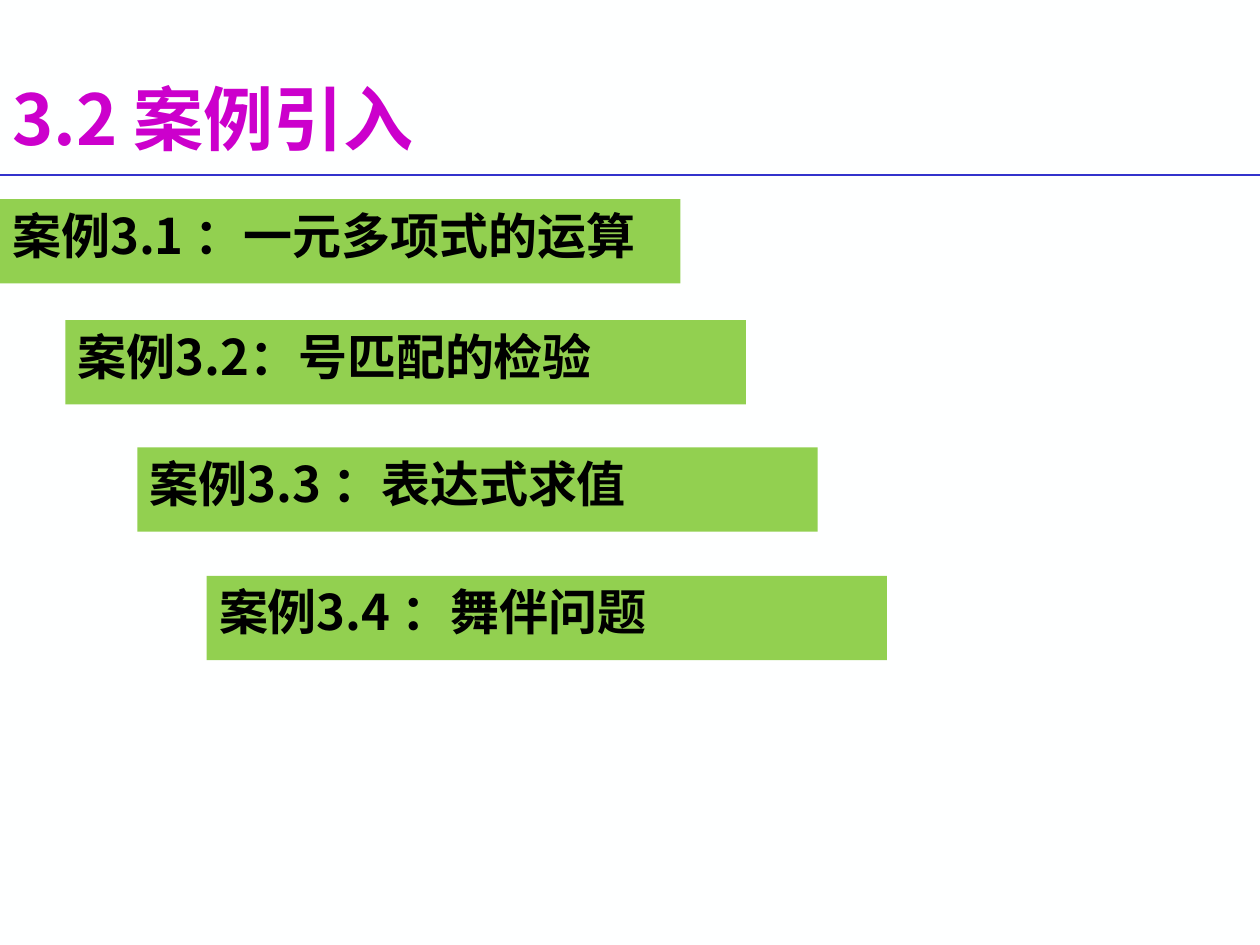
from dataclasses import dataclass

from lxml.etree import SubElement
from pptx import Presentation
from pptx.dml.color import RGBColor as Color
from pptx.enum.shapes import MSO_CONNECTOR as Connector, MSO_SHAPE as Shape
from pptx.enum.text import MSO_ANCHOR as Anchor, MSO_AUTO_SIZE as AutoSize, PP_ALIGN as Align
from pptx.oxml.ns import qn
from pptx.slide import Slide
from pptx.text.text import TextFrame
from pptx.util import Inches, Length, Pt

COLUMNS, ROWS = 100, 75  # slide grid


@dataclass(frozen=True)
class Theme:
    font: str = "Noto Sans CJK SC"
    background: Color = Color.from_string("FEFFFF")
    title: Color = Color.from_string("CC00CC")
    rule: Color = Color.from_string("3333CC")
    bar: Color = Color.from_string("92D050")
    text: Color = Color.from_string("000000")
    title_size: Length = Pt(40)
    case_size: Length = Pt(28)


@dataclass(frozen=True)
class Case:
    column: float
    row: float
    text: str


THEME = Theme()
BAR_COLUMNS, BAR_ROWS = 54, 6.7
CASES = [
    Case(0, 15.8, "案例3.1 ：一元多项式的运算"),
    Case(5.2, 25.4, "案例3.2：号匹配的检验"),
    Case(10.9, 35.5, "案例3.3 ：表达式求值"),
    Case(16.4, 45.7, "案例3.4 ：舞伴问题"),
]


def grid(units: float) -> Length:
    """Grid cells are square, so one rule serves columns and rows."""
    return Inches(10 * units / COLUMNS)


def write(frame: TextFrame, text: str, size: Length, color: Color, anchor: Anchor) -> None:
    frame.text = text
    frame.word_wrap = True
    frame.auto_size = AutoSize.NONE
    frame.vertical_anchor = anchor
    para = frame.paragraphs[0]
    para.alignment = Align.LEFT
    para.space_before = Pt(0)
    for span in para.runs:
        span.font.size, span.font.bold, span.font.name = size, True, THEME.font
        span.font.color.rgb = color
        SubElement(span.font._element, qn("a:ea"), typeface=THEME.font)


def add_title(page: Slide, text: str) -> None:
    title = page.shapes.title
    title.left, title.top = grid(0), grid(5.6)
    title.width, title.height = grid(74.1), grid(7.5)
    write(title.text_frame, text, THEME.title_size, THEME.title, Anchor.MIDDLE)


def add_rule(page: Slide, row: float) -> None:
    rule = page.shapes.add_connector(Connector.STRAIGHT, grid(0), grid(row), grid(COLUMNS), grid(row))
    rule.line.color.rgb = THEME.rule
    rule.line.width = Pt(1)
    SubElement(rule._element.spPr, qn("a:effectLst"))


def add_case(page: Slide, case: Case) -> None:
    bar = page.shapes.add_shape(
        Shape.RECTANGLE, grid(case.column), grid(case.row), grid(BAR_COLUMNS), grid(BAR_ROWS))
    bar.shadow.inherit = False
    bar.fill.solid()
    bar.fill.fore_color.rgb = THEME.bar
    bar.line.fill.background()
    write(bar.text_frame, case.text, THEME.case_size, THEME.text, Anchor.TOP)


def main() -> None:
    deck = Presentation()
    deck.slide_width, deck.slide_height = grid(COLUMNS), grid(ROWS)
    page = deck.slides.add_slide(deck.slide_layouts.get_by_name("Title Only"))
    page.background.fill.solid()
    page.background.fill.fore_color.rgb = THEME.background

    # Heading and its rule
    add_title(page, "3.2 案例引入")
    add_rule(page, 13.9)

    # Staircase of cases
    for case in CASES:
        add_case(page, case)

    deck.save("out.pptx")


if __name__ == "__main__":
    main()
